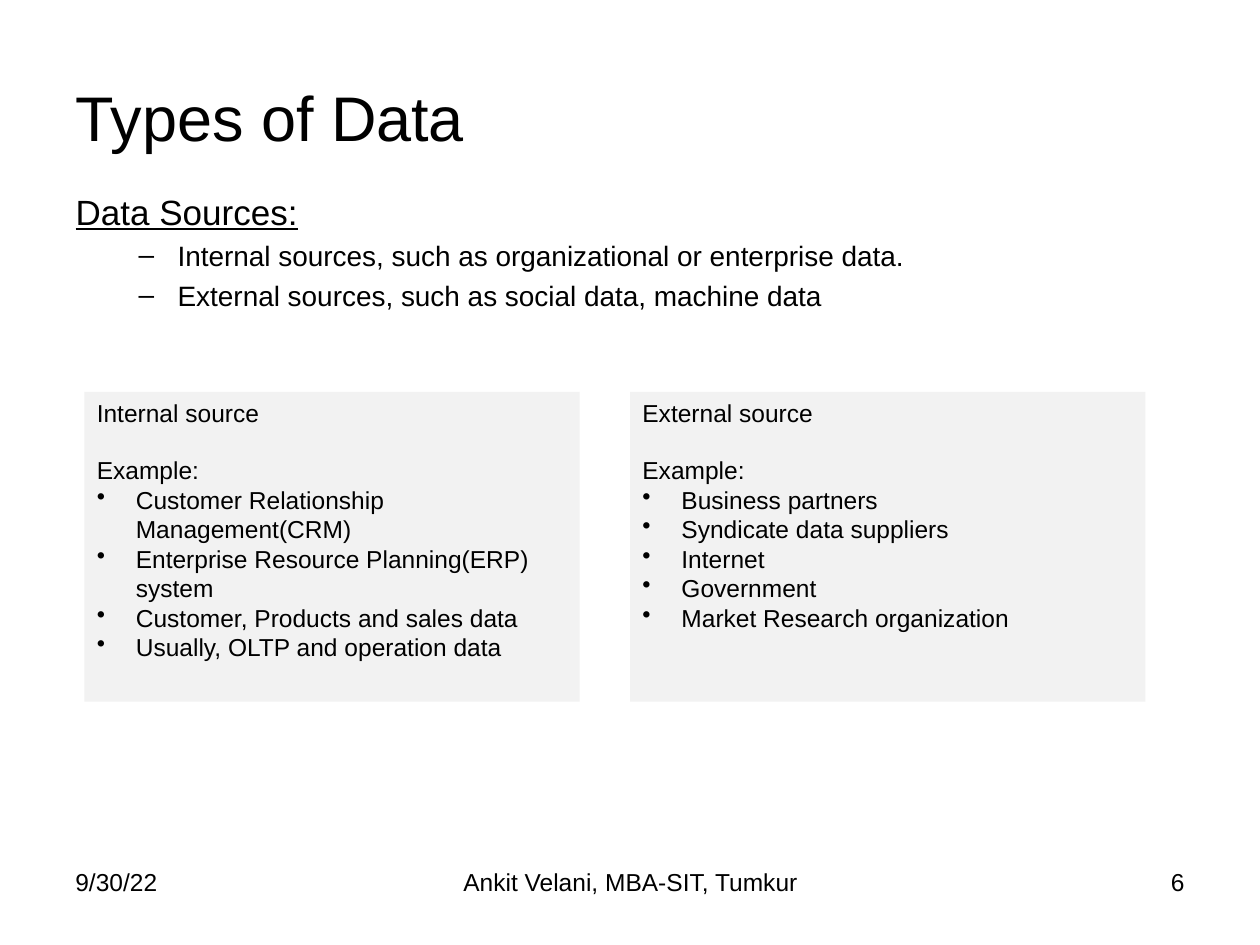
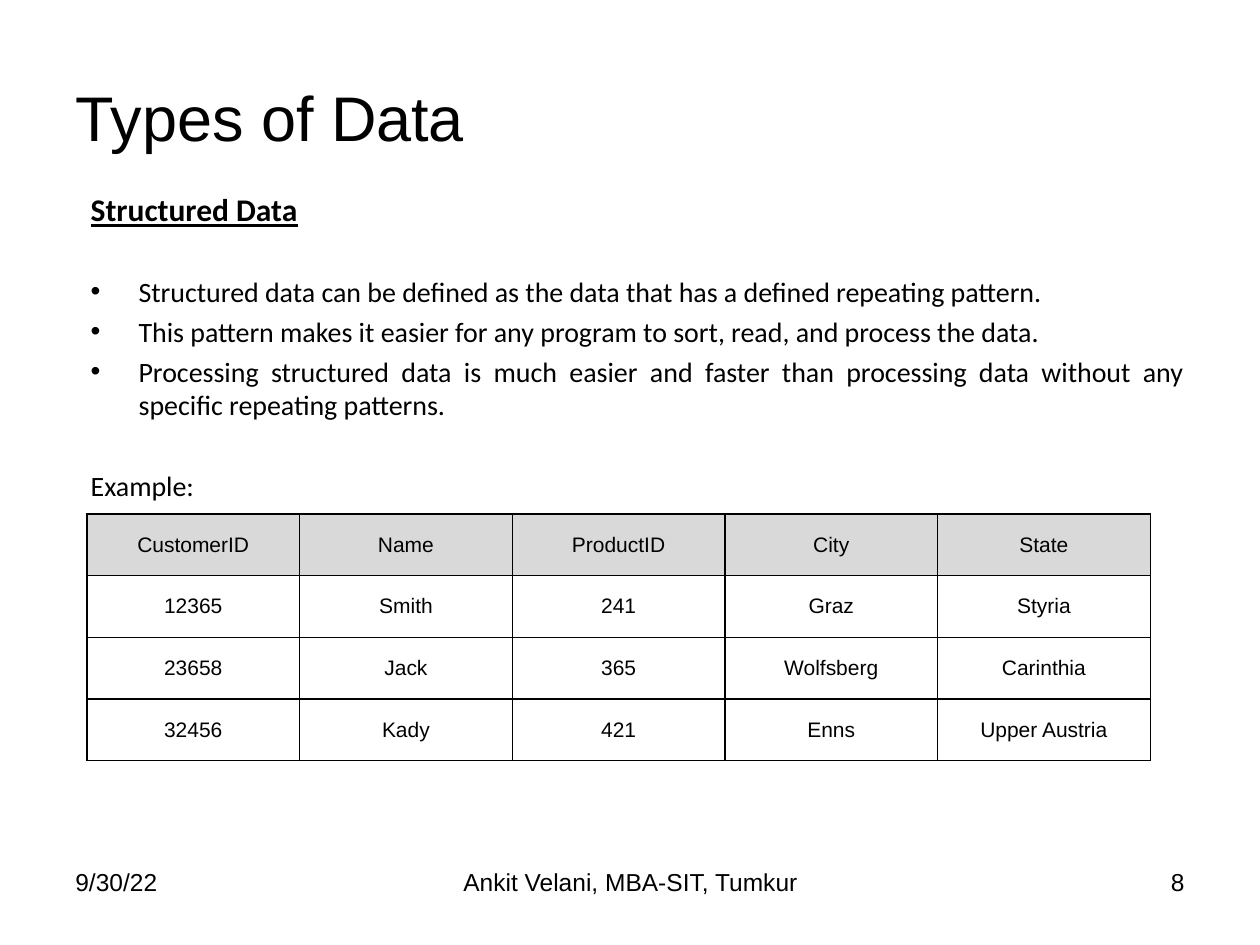
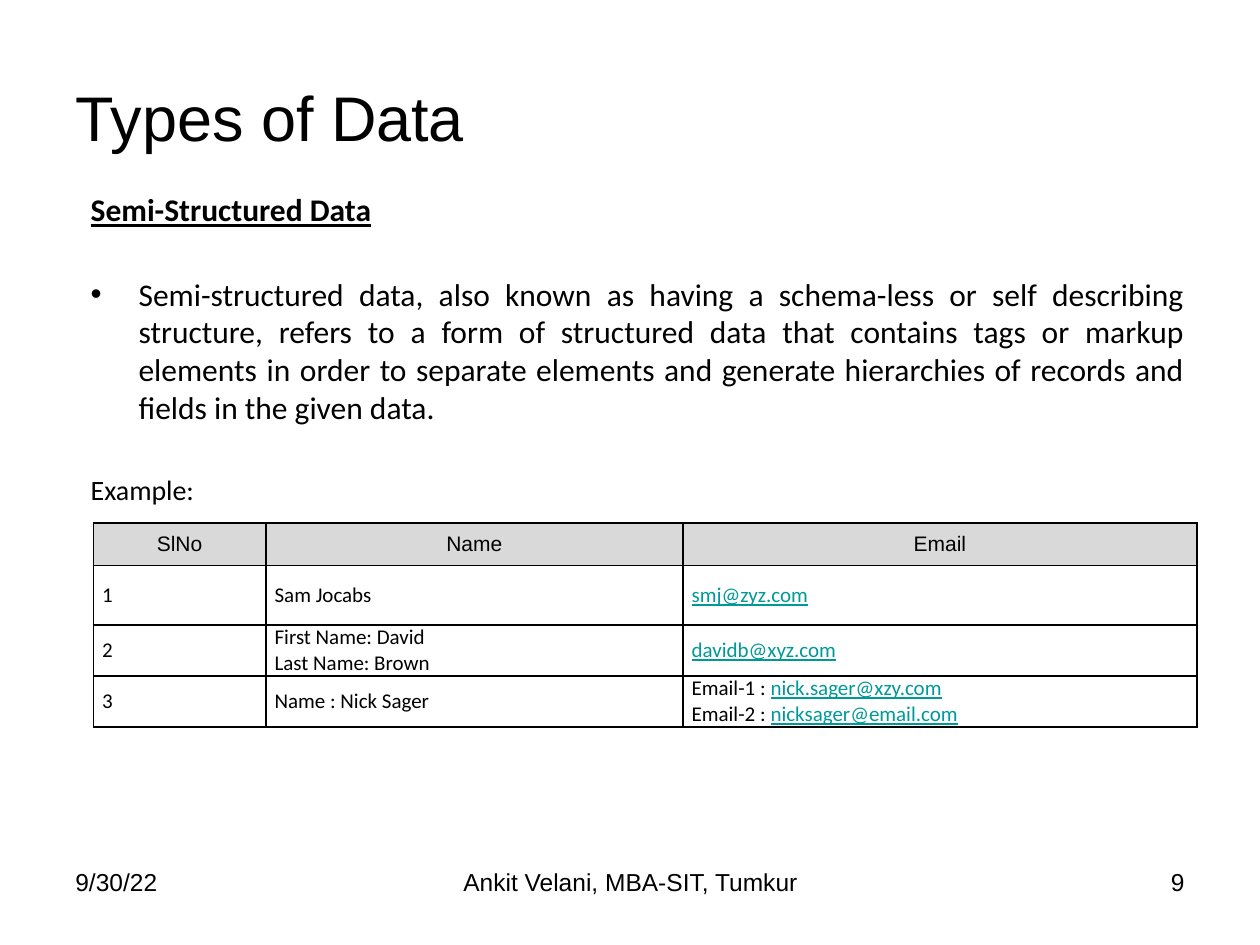
from lxml import etree
from pptx import Presentation
from pptx import util as u
from pptx.dml.color import RGBColor
from pptx.enum import shapes, text
from pptx.oxml.ns import qn

# Shared look; positions are percentages of the slide's width and height
WIDTH, HEIGHT = u.Inches(10), u.Inches(7.5)
BLACK, PANEL_GREY, HEADER_GREY, LINK_TEAL = "000000", "F2F2F2", "D9D9D9", "009999"
SANS, HUMANIST = "Arial", "Calibri"
ALIGN = text.PP_ALIGN
MARGIN = 5
BLANK_LINE = 23  # points left free between blocks of body text
FOOTER = [
    (5, 23.3, ALIGN.LEFT), (34.2, 31.7, ALIGN.CENTER), (71.7, 23.3, ALIGN.RIGHT),
]


def colour(hex_string):
    return RGBColor.from_string(hex_string)


def across(percent):
    return int(WIDTH * percent / 100)


def down(percent):
    return int(HEIGHT * percent / 100)


def box(left, top, width, height):
    return across(left), down(top), across(width), down(height)


def place(shape, *percentages):
    shape.left, shape.top, shape.width, shape.height = box(*percentages)


def style(paragraph, size, name=SANS, align=ALIGN.LEFT, before=0,
          bold=False, underline=False):
    font = paragraph.font
    font.size, font.name, font.bold, font.underline = u.Pt(size), name, bold, underline
    font.color.rgb = colour(BLACK)
    paragraph.alignment = align
    paragraph.space_before = u.Pt(before)


def indent(paragraph, left=0, hanging=0, bullet=None):
    properties = paragraph._p.get_or_add_pPr()
    properties.set("marL", str(u.Inches(left)))
    properties.set("indent", str(-u.Inches(hanging)))
    if bullet:
        mark = etree.Element(qn("a:buChar"), char=bullet)
    else:
        mark = etree.Element(qn("a:buNone"))
    # Bullets come after spacing and before the default font
    default_font = properties.find(qn("a:defRPr"))
    if default_font is None:
        properties.append(mark)
    else:
        default_font.addprevious(mark)


def add_paragraph(frame, words):
    """Fill the first empty paragraph, or add one."""
    paragraph = frame.paragraphs[0]
    if paragraph.runs:
        paragraph = frame.add_paragraph()
    paragraph.add_run().text = words
    return paragraph


# Slide frame: title, body and footer line
def start_slide(presentation, number):
    slide = presentation.slides.add_slide(presentation.slide_layouts[1])
    title, body = slide.shapes.title, slide.placeholders[1]
    place(title, MARGIN, 4, 90, 16.67)
    title.text_frame.vertical_anchor = text.MSO_ANCHOR.MIDDLE
    style(add_paragraph(title.text_frame, "Types of Data"), 36)
    place(body, MARGIN, 19.47, 90, 69.87)
    body.text_frame.auto_size = text.MSO_AUTO_SIZE.NONE

    labels = ["9/30/22", "Ankit Velani, MBA-SIT, Tumkur", str(number)]
    for label, (left, width, align) in zip(labels, FOOTER):
        footer = slide.shapes.add_textbox(*box(left, 91.07, width, 6.93))
        footer.text_frame.word_wrap = True
        style(add_paragraph(footer.text_frame, label), 14, align=align)
    return slide, body.text_frame


def add_heading(frame, words, size, name, left=0, bold=False):
    paragraph = add_paragraph(frame, words)
    style(paragraph, size, name, ALIGN.JUSTIFY, 3.6, bold, underline=True)
    indent(paragraph, left)


def add_definition(frame, heading, points, size):
    add_heading(frame, heading, 18, HUMANIST, 0.12, bold=True)
    for index, point in enumerate(points):
        paragraph = add_paragraph(frame, point)
        gap = 3.6 if index else 3.6 + BLANK_LINE
        style(paragraph, size, HUMANIST, ALIGN.JUSTIFY, gap)
        indent(paragraph, 0.5, 0.38, "•")
    example = add_paragraph(frame, "Example:")
    style(example, 16, HUMANIST, ALIGN.JUSTIFY, 3.6 + BLANK_LINE)
    indent(example, 0.12)


def add_source_panel(slide, left, width, heading, examples):
    panel = slide.shapes.add_shape(
        shapes.MSO_SHAPE.RECTANGLE, *box(left, 41.47, width, 32.8))
    panel.shadow.inherit = False
    panel.fill.solid()
    panel.fill.fore_color.rgb = colour(PANEL_GREY)
    panel.line.fill.background()
    frame = panel.text_frame
    frame.word_wrap = True
    frame.vertical_anchor = text.MSO_ANCHOR.TOP
    style(add_paragraph(frame, heading), 14)
    style(add_paragraph(frame, "Example:"), 14, before=16)
    for example in examples:
        paragraph = add_paragraph(frame, example)
        style(paragraph, 14)
        indent(paragraph, 0.31, 0.31, "•")


# Tables
def add_borders(cell):
    properties = cell._tc.get_or_add_tcPr()
    for position, side in enumerate(("lnL", "lnR", "lnT", "lnB")):
        line = etree.Element(qn(f"a:{side}"), w=str(u.Pt(1)))
        fill = etree.SubElement(line, qn("a:solidFill"))
        etree.SubElement(fill, qn("a:srgbClr"), val=BLACK)
        properties.insert(position, line)


def write_cell(cell, words, name, align):
    """Write one paragraph a line, with e-mail addresses in the link style."""
    frame = cell.text_frame
    for line in words.split("\n"):
        label, space, address = line.rpartition(" ")
        if "@" not in address:
            style(add_paragraph(frame, line), 12, name, align)
            continue
        paragraph = add_paragraph(frame, label + space if label else address)
        if label:
            paragraph.add_run().text = address
        style(paragraph, 12, name, align)
        link = paragraph.runs[-1].font
        link.underline = True
        link.color.rgb = colour(LINK_TEAL)


def add_grid(slide, left, top, widths, heights, rows, name, align):
    table = slide.shapes.add_table(
        len(rows), len(widths), *box(left, top, sum(widths), sum(heights))).table
    table.first_row = table.horz_banding = False
    for column, width in zip(table.columns, widths):
        column.width = across(width)
    for row_index, (row, height) in enumerate(zip(rows, heights)):
        table.rows[row_index].height = down(height)
        is_header = row_index == 0
        for column_index, words in enumerate(row):
            cell = table.cell(row_index, column_index)
            cell.margin_left = cell.margin_right = u.Inches(0.07)
            cell.margin_top = cell.margin_bottom = 0
            cell.vertical_anchor = text.MSO_ANCHOR.MIDDLE
            if is_header:
                cell.fill.solid()
                cell.fill.fore_color.rgb = colour(HEADER_GREY)
                write_cell(cell, words, SANS, ALIGN.CENTER)
            else:
                cell.fill.background()
                write_cell(cell, words, name, align)
            add_borders(cell)


# Slides
def add_sources_slide(presentation):
    slide, body = start_slide(presentation, 6)
    add_heading(body, "Data Sources:", 20, SANS)
    for source in (
        "Internal sources, such as organizational or enterprise data.",
        "External sources, such as social data, machine data",
    ):
        paragraph = add_paragraph(body, source)
        paragraph.level = 1
        style(paragraph, 16, align=ALIGN.JUSTIFY, before=3.6)
        indent(paragraph, 0.81, 0.31, "–")
    add_source_panel(slide, 6.7, 39.3, "Internal source", [
        "Customer Relationship Management(CRM)",
        "Enterprise Resource Planning(ERP) system",
        "Customer, Products and sales data",
        "Usually, OLTP and operation data",
    ])
    add_source_panel(slide, 50, 40.9, "External source", [
        "Business partners", "Syndicate data suppliers", "Internet",
        "Government", "Market Research organization",
    ])


def add_structured_slide(presentation):
    slide, body = start_slide(presentation, 8)
    add_definition(body, "Structured Data", [
        "Structured data can be defined as the data that has a defined repeating pattern.",
        "This pattern makes it easier for any program to sort, read, and process the data.",
        "Processing structured data is much easier and faster than processing data "
        "without any specific repeating patterns.",
    ], 16)
    rows = [
        ("CustomerID", "Name", "ProductID", "City", "State"),
        ("12365", "Smith", "241", "Graz", "Styria"),
        ("23658", "Jack", "365", "Wolfsberg", "Carinthia"),
        ("32456", "Kady", "421", "Enns", "Upper Austria"),
    ]
    add_grid(slide, 6.9, 54.4, [16.88] * 5, [6.53] * 4, rows, SANS, ALIGN.CENTER)


def add_semi_structured_slide(presentation):
    slide, body = start_slide(presentation, 9)
    add_definition(body, "Semi-Structured Data", [
        "Semi-structured data, also known as having a schema-less or self describing "
        "structure, refers to a form of structured data that contains tags or markup "
        "elements in order to separate elements and generate hierarchies of records "
        "and fields in the given data.",
    ], 18)
    rows = [
        ("SlNo", "Name", "Email"),
        ("1", "Sam Jocabs", "smj@zyz.com"),
        ("2", "First Name: David\nLast Name: Brown", "davidb@xyz.com"),
        ("3", "Name : Nick Sager",
         "Email-1 : nick.sager@xzy.com\nEmail-2 : nicksager@email.com"),
    ]
    add_grid(slide, 7.4, 55.33, [13.7, 33.1, 40.8], [4.53, 6.27, 5.4, 5.4],
             rows, HUMANIST, ALIGN.LEFT)


def main():
    presentation = Presentation()
    presentation.slide_width, presentation.slide_height = WIDTH, HEIGHT
    add_sources_slide(presentation)
    add_structured_slide(presentation)
    add_semi_structured_slide(presentation)
    presentation.save("out.pptx")


if __name__ == "__main__":
    main()
